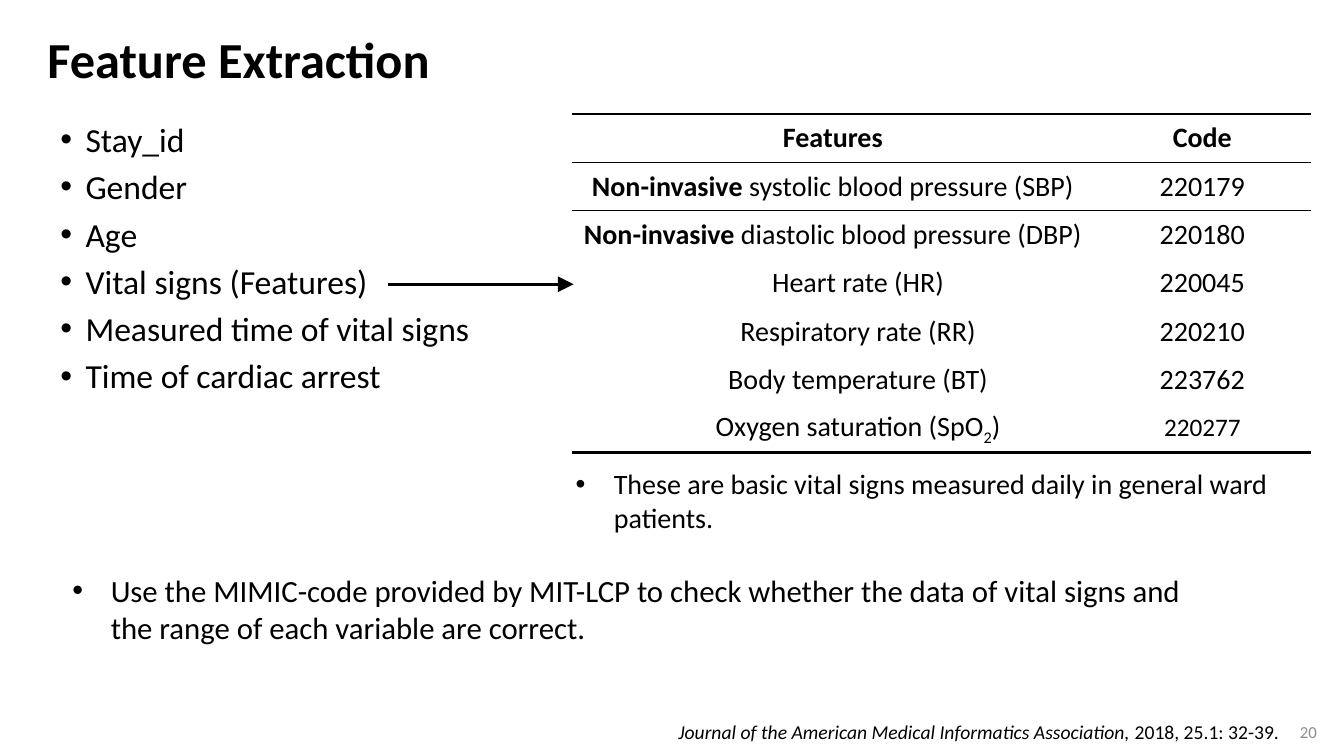
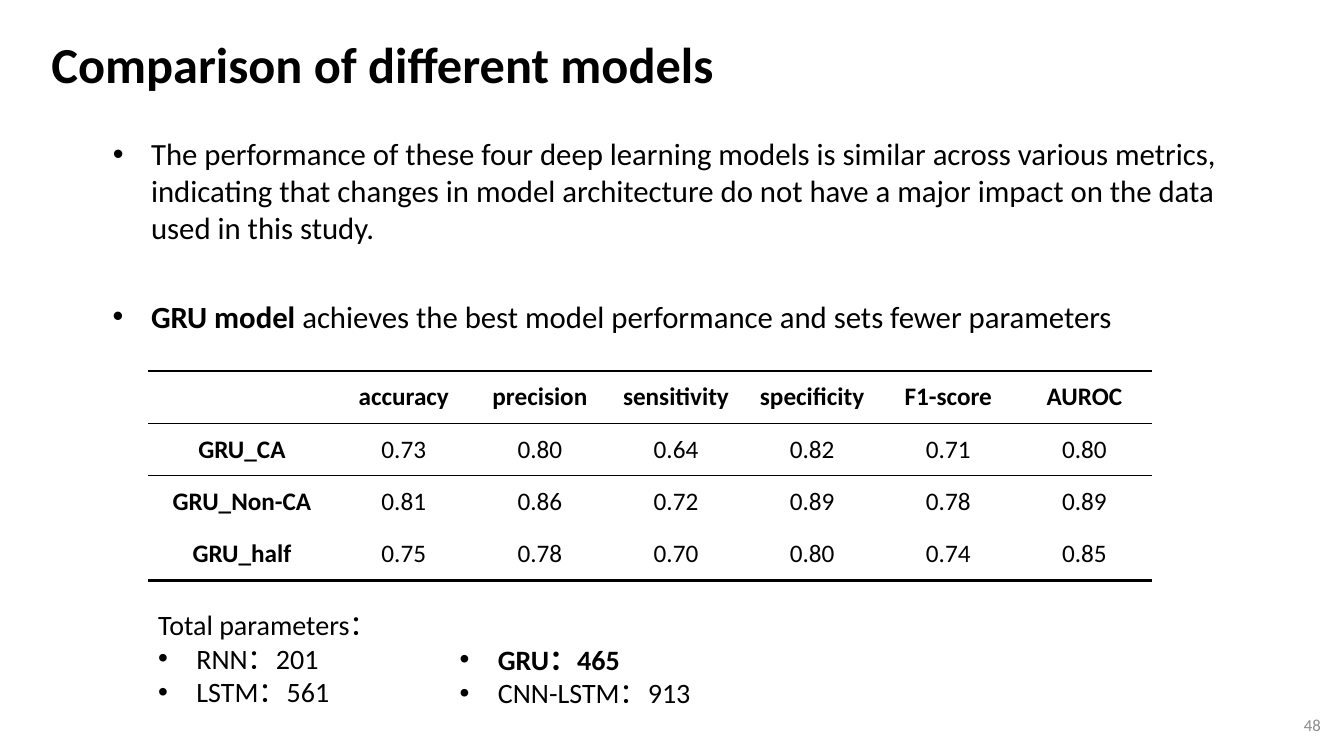
from dataclasses import dataclass
from typing import Any, NamedTuple

from lxml import etree
from pptx import Presentation
from pptx.dml.color import RGBColor
from pptx.enum.shapes import MSO_CONNECTOR
from pptx.enum.text import MSO_ANCHOR, MSO_AUTO_SIZE, PP_ALIGN
from pptx.oxml.ns import qn
from pptx.util import Inches, Pt

LEFT, CENTER, RIGHT = PP_ALIGN.LEFT, PP_ALIGN.CENTER, PP_ALIGN.RIGHT
TOP, MIDDLE = MSO_ANCHOR.TOP, MSO_ANCHOR.MIDDLE
FIXED = MSO_AUTO_SIZE.NONE
STRAIGHT = MSO_CONNECTOR.STRAIGHT
TITLE_ONLY = 5
PLAIN_TABLE = "{2D5ABB26-0587-4C30-8999-92F81FD0307C}"


@dataclass(frozen=True)
class Theme:
    font: str = "Calibri"
    ink: str = "000000"
    gray: str = "8C8C8C"
    title: int = 36
    list: int = 24
    body: int = 22
    note: int = 20
    cell: int = 18
    cite: int = 14
    page: int = 12
    thick: float = 2.25
    thin: float = 1


THEME = Theme()


class Box(NamedTuple):
    left: float
    top: float
    width: float
    height: float

    def place(self) -> list[int]:
        return [Inches(side) for side in self]


class Run(NamedTuple):
    text: str
    bold: bool = False
    italic: bool = False
    base: int = 0


@dataclass(frozen=True)
class Para:
    """One paragraph; a negative hang gives it a bullet."""
    runs: tuple[Run, ...]
    size: int
    level: int = 0
    indent: float = 0
    hang: float = 0
    before: float = 0
    align: int = LEFT
    color: str = THEME.ink
    spacing: float = 1


@dataclass(frozen=True)
class Grid:
    left: float
    top: float
    cols: list[float]
    row: float
    inset: tuple[float, float]
    cells: list[list[Para]]


def put(target: Any, values: dict[str, Any]) -> None:
    for name, value in values.items():
        setattr(target, name, value)


def add_xml(parent: Any, tag: str, **attrs: str) -> Any:
    return etree.SubElement(parent, qn(tag), attrs)


def point(text: str, size: int, bold: bool = False, level: int = 0, indent: float = 0.38,
          hang: float = -0.38, before: float = 0) -> Para:
    return Para((Run(text, bold),), size, level, indent, hang, before)


def center(*runs: Run, size: int, level: int = 0) -> Para:
    return Para(runs, size, level, 0.5 * level, align=CENTER)


def write(frame: Any, paras: list[Para]) -> None:
    for index, para in enumerate(paras):
        line = frame.paragraphs[0] if index == 0 else frame.add_paragraph()
        props = line._p.get_or_add_pPr()
        props.set("marL", str(Inches(para.indent)))
        props.set("indent", str(Inches(para.hang)))
        if para.hang < 0:
            add_xml(props, "a:buFont", typeface="Arial")
            add_xml(props, "a:buChar", char="•")
        put(line, {"level": para.level, "alignment": para.align,
                   "line_spacing": para.spacing,
                   "space_before": Pt(para.before if index else 0)})
        for part in para.runs:
            run = line.add_run()
            run.text = part.text
            put(run.font, {"name": THEME.font, "size": Pt(para.size),
                           "bold": part.bold, "italic": part.italic})
            run.font.color.rgb = RGBColor.from_string(para.color)
            if part.base:
                run.font._element.set("baseline", str(part.base * 1000))


def add_text(slide: Any, box: Box, paras: list[Para], anchor: int = TOP) -> None:
    frame = slide.shapes.add_textbox(*box.place()).text_frame
    put(frame, {"word_wrap": True, "auto_size": FIXED, "vertical_anchor": anchor})
    write(frame, paras)


def add_page(deck: Any, title: str, box: Box, number: str, corner: Box) -> Any:
    slide = deck.slides.add_slide(deck.slide_layouts[TITLE_ONLY])
    head = slide.shapes.title
    put(head, dict(zip(("left", "top", "width", "height"), box.place())))
    put(head.text_frame, {"word_wrap": True, "auto_size": FIXED, "vertical_anchor": MIDDLE})
    write(head.text_frame, [Para((Run(title, True),), THEME.title, spacing=0.9)])
    add_text(slide, corner, [Para((Run(number),), THEME.page, align=RIGHT,
                                  color=THEME.gray)], MIDDLE)
    return slide


def add_rule(cell: Any, tag: str, width: float) -> None:
    """Draw one cell border; borders must come before the fill."""
    props = cell._tc.get_or_add_tcPr()
    line = add_xml(props, tag, w=str(Pt(width)))
    add_xml(add_xml(line, "a:solidFill"), "a:srgbClr", val=THEME.ink)
    props.insert(len(props) - 2, line)


def add_grid(slide: Any, grid: Grid) -> None:
    count = len(grid.cells)
    box = Box(grid.left, grid.top, sum(grid.cols), grid.row * count)
    shape = slide.shapes.add_table(count, len(grid.cols), *box.place())
    table = shape.table
    put(table, {"first_row": False, "horz_banding": False})
    next(shape._element.iter(qn("a:tableStyleId"))).text = PLAIN_TABLE
    for col, width in zip(table.columns, grid.cols):
        col.width = Inches(width)
    side, edge = map(Inches, grid.inset)
    for r, row in enumerate(grid.cells):
        table.rows[r].height = Inches(grid.row)
        for c, para in enumerate(row):
            cell = table.cell(r, c)
            put(cell, {"margin_left": side, "margin_right": side, "margin_top": edge,
                       "margin_bottom": edge, "vertical_anchor": MIDDLE})
            cell.fill.background()
            if r < 2:
                add_rule(cell, "a:lnT", THEME.thin if r else THEME.thick)
            if r in (0, count - 1):
                add_rule(cell, "a:lnB", THEME.thin if r == 0 else THEME.thick)
            write(cell.text_frame, [para])


def add_arrow(slide: Any, start: float, end: float, y: float) -> None:
    arrow = slide.shapes.add_connector(STRAIGHT, Inches(start), Inches(y),
                                       Inches(end), Inches(y))
    arrow.line.color.rgb = RGBColor.from_string(THEME.ink)
    arrow.line.width = Pt(THEME.thick)
    add_xml(arrow.line._get_or_add_ln(), "a:tailEnd", type="triangle", w="lg", len="lg")
    add_xml(arrow._element.spPr, "a:effectLst")


def add_features(deck: Any) -> None:
    slide = add_page(deck, "Feature Extraction", Box(0.37, 0.2, 4.86, 0.84),
                     "20", Box(10.16, 7.06, 3, 0.4))
    items = ["Stay_id", "Gender", "Age", "Vital signs (Features)",
             "Measured time of vital signs", "Time of cardiac arrest"]
    add_text(slide, Box(0, 1.13, 5.02, 3.15),
             [point(item, THEME.list, level=1, indent=0.75, hang=-0.25, before=5)
              for item in items])
    add_text(slide, Box(5.11, 4.58, 7.69, 0.77), [
        point("These are basic vital signs measured daily in general ward patients.",
              THEME.note, level=1, indent=0.88)])
    add_arrow(slide, 3.85, 5.69, 2.82)

    size = THEME.note
    signs = [
        (0, [Run("Non-invasive ", True), Run("systolic blood pressure (SBP)")], "220179"),
        (0, [Run("Non-invasive", True), Run(" diastolic blood pressure (DBP)")], "220180"),
        (1, [Run("Heart rate (HR)")], "220045"),
        (1, [Run("Respiratory rate (RR)")], "220210"),
        (1, [Run("Body temperature (BT)")], "223762"),
        (1, [Run("Oxygen saturation (SpO"), Run("2", base=-25), Run(")")], "220277"),
    ]
    rows = [[center(Run(head, True), size=size) for head in ("Features", "Code")]]
    rows += [[center(*runs, size=size, level=level), center(Run(code), size=size)]
             for level, runs, code in signs]
    rows[-1][1] = center(Run(signs[-1][2]), size=THEME.cell)
    add_grid(slide, Grid(5.67, 1.13, [5.18, 2.15], 0.48, (0.07, 0), rows))

    add_text(slide, Box(0.62, 5.62, 11.62, 0.84), [
        point("Use the MIMIC-code provided by MIT-LCP to check whether the data of vital "
              "signs and the range of each variable are correct.", THEME.body)])
    cite = (Run("Journal of the American Medical Informatics Association, ", italic=True),
            Run("2018, 25.1: 32-39."))
    add_text(slide, Box(6.63, 7.09, 6.7, 0.34), [Para(cite, THEME.cite)])


def add_models(deck: Any) -> None:
    slide = add_page(deck, "Comparison of different models", Box(0.41, 0.36, 10.46, 0.62),
                     "48", Box(10.2, 6.99, 3, 0.4))
    add_text(slide, Box(1.02, 1.29, 11.29, 1.21), [
        point("The performance of these four deep learning models is similar across various "
              "metrics, indicating that changes in model architecture do not have a major "
              "impact on the data used in this study.", THEME.body)])
    best = (Run("GRU model ", True),
            Run("achieves the best model performance and sets fewer parameters"))
    add_text(slide, Box(1.02, 2.9, 11.1, 0.47),
             [Para(best, THEME.body, indent=0.38, hang=-0.38)])

    scores = [
        ["", "accuracy", "precision", "sensitivity", "specificity", "F1-score", "AUROC"],
        ["GRU_CA", "0.73", "0.80", "0.64", "0.82", "0.71", "0.80"],
        ["GRU_Non-CA", "0.81", "0.86", "0.72", "0.89", "0.78", "0.89"],
        ["GRU_half", "0.75", "0.78", "0.70", "0.80", "0.74", "0.85"],
    ]
    rows = [[center(Run(text, r == 0 or c == 0), size=THEME.cell)
             for c, text in enumerate(row)] for r, row in enumerate(scores)]
    add_grid(slide, Grid(1.47, 3.68, [1.86] + [1.35] * 6, 0.52, (0.1, 0.05), rows))

    add_text(slide, Box(1.47, 5.98, 2.9, 1.11), [
        Para((Run("Total parameters："),), THEME.note),
        point("RNN：201", THEME.note), point("LSTM：561", THEME.note)])
    add_text(slide, Box(4.46, 6.32, 6.67, 0.77), [
        point("GRU：465", THEME.note, bold=True), point("CNN-LSTM：913", THEME.note)])


def main() -> None:
    deck = Presentation()
    put(deck, {"slide_width": Inches(13.33), "slide_height": Inches(7.5)})
    add_features(deck)
    add_models(deck)
    deck.save("out.pptx")


if __name__ == "__main__":
    main()
